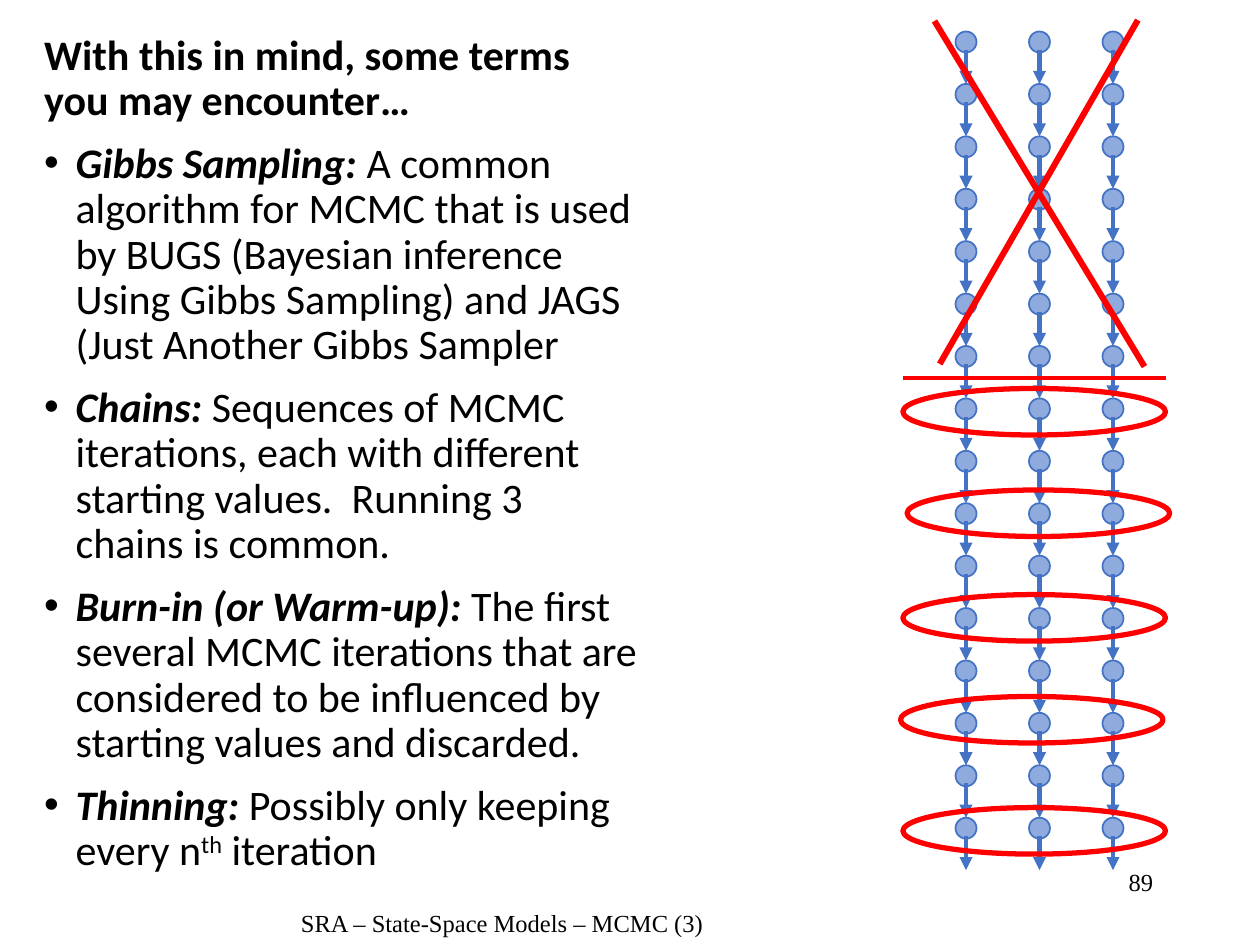
from pptx import Presentation
from pptx.dml.color import RGBColor
from pptx.enum.shapes import MSO_CONNECTOR, MSO_SHAPE
from pptx.enum.text import MSO_ANCHOR, MSO_AUTO_SIZE, PP_ALIGN
from pptx.oxml.ns import qn
from pptx.util import Pt
from lxml.etree import SubElement

BLACK = RGBColor(0x00, 0x00, 0x00)
BLUE = RGBColor(0x44, 0x72, 0xC4)
PALE = RGBColor(0x8F, 0xAA, 0xDC)
RED = RGBColor(0xFF, 0x00, 0x00)

HEAD = "With this in mind, some terms you may encounter…"
# Each term is followed by its text; a second item is set as superscript
TERMS = [
    ("Gibbs Sampling: ", ["A common algorithm for MCMC that is used by BUGS "
     "(Bayesian inference Using Gibbs Sampling) and JAGS "
     "(Just Another Gibbs Sampler"]),
    ("Chains: ", ["Sequences of MCMC iterations, each with different "
     "starting values.  Running 3 chains is common."]),
    ("Burn-in (or Warm-up): ", ["The first several MCMC iterations that are "
     "considered to be influenced by starting values and discarded."]),
    ("Thinning: ", ["Possibly only keeping every n", "th", " iteration"]),
]


class Deck:
    """Holds the text style and the current slide."""
    font, size = "Calibri", 24
    small_font, small = "Times New Roman", 14

    def __init__(self, slide):
        self.slide = slide

    def place(self, shape, x, y, w, h):
        shape.left, shape.top = Pt(x), Pt(y)
        shape.width, shape.height = Pt(w), Pt(h)

    def run(self, para, text, font=None, size=None, bold=False, slant=False):
        run = para.add_run()
        run.text = text
        run.font.name = font or self.font
        run.font.size = Pt(size or self.size)
        run.font.bold, run.font.italic = bold, slant
        run.font.color.rgb = BLACK
        return run

    def para(self, frame, first=False):
        para = frame.paragraphs[0] if first else frame.add_paragraph()
        para.alignment = PP_ALIGN.LEFT
        para.line_spacing = 0.9
        para.space_before = Pt(0 if first else 10)
        props = para._p.get_or_add_pPr()
        inset = 0 if first else Pt(18)
        props.set("marL", str(inset))
        props.set("indent", str(-inset))
        if first:
            SubElement(props, qn("a:buNone"))
        else:
            SubElement(props, qn("a:buFont")).set("typeface", "Arial")
            SubElement(props, qn("a:buChar")).set("char", "•")
        return para

    def body(self, x, y, w, h):
        box = self.slide.placeholders[1]
        self.place(box, x, y, w, h)
        frame = box.text_frame
        frame.word_wrap = True
        frame.auto_size = MSO_AUTO_SIZE.NONE
        frame.vertical_anchor = MSO_ANCHOR.TOP
        self.run(self.para(frame, first=True), HEAD, bold=True)
        for term, parts in TERMS:
            para = self.para(frame)
            self.run(para, term, bold=True, slant=True)
            for i, part in enumerate(parts):
                run = self.run(para, part)
                if i == 1:
                    run.font._element.set("baseline", "30000")

    def label(self, text, x, y, w, h, align):
        frame = self.slide.shapes.add_textbox(
            Pt(x), Pt(y), Pt(w), Pt(h)).text_frame
        frame.word_wrap = True
        para = frame.paragraphs[0]
        para.alignment = align
        self.run(para, text, self.small_font, self.small)

    def oval(self, x, y, w, h, color, width, fill=None):
        oval = self.slide.shapes.add_shape(
            MSO_SHAPE.OVAL, Pt(x), Pt(y), Pt(w), Pt(h))
        oval.shadow.inherit = False
        if fill is None:
            oval.fill.background()
        else:
            oval.fill.solid()
            oval.fill.fore_color.rgb = fill
        oval.line.color.rgb = color
        oval.line.width = Pt(width)

    def line(self, x1, y1, x2, y2, color, width, arrow=False):
        line = self.slide.shapes.add_connector(
            MSO_CONNECTOR.STRAIGHT, Pt(x1), Pt(y1), Pt(x2), Pt(y2))
        line.line.color.rgb = color
        line.line.width = Pt(width)
        if arrow:
            edge = line.line._get_or_add_ln()
            SubElement(edge, qn("a:tailEnd")).set("type", "triangle")
        SubElement(line._element.spPr, qn("a:effectLst"))


def main():
    prs = Presentation()
    prs.slide_width, prs.slide_height = Pt(720), Pt(540)
    slide = prs.slides.add_slide(prs.slide_layouts[1])
    title = slide.shapes.title._element
    title.getparent().remove(title)
    deck = Deck(slide)

    # Terms, page number and footer
    deck.body(18, 15.8, 354.2, 491.8)
    deck.label("89", 516, 492, 150, 36, PP_ALIGN.RIGHT)
    deck.label("SRA – State-Space Models – MCMC (3)",
               156, 515.5, 262, 26.6, PP_ALIGN.CENTER)

    # Three chains of sixteen iterations
    dot, step = 12, 29.95
    for row in range(16):
        y = 18 + row * step
        for mid in (552, 594, 636):
            deck.oval(mid - dot / 2, y, dot, dot, BLUE, 1, PALE)
            deck.line(mid, y + 10.4, mid, y + 30, BLUE, 2.5, arrow=True)

    # Burn-in crossed out, with its end marked
    deck.line(534, 12, 654, 209.5, RED, 3.5)
    deck.line(650.2, 11.5, 537, 208, RED, 3.5)
    deck.line(516, 216, 666, 216, RED, 2.5)

    # Iterations kept after thinning
    for x, y in ((516, 222), (518.4, 280), (516, 339.8),
                 (514.6, 398), (516, 461.5)):
        deck.oval(x, y, 150, 26.6, RED, 3)

    prs.save("out.pptx")


if __name__ == "__main__":
    main()
